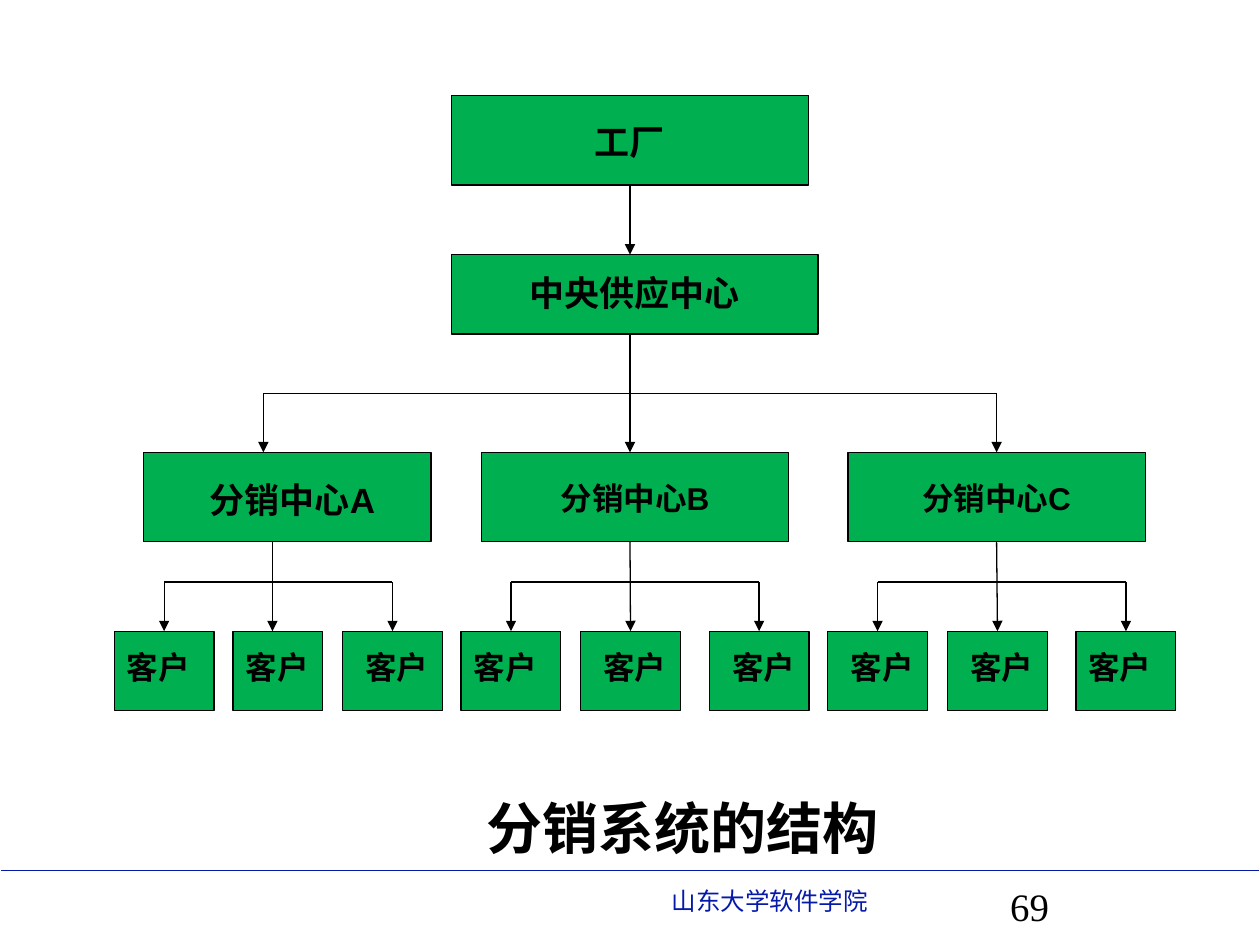
from pptx import Presentation
from pptx.dml.color import RGBColor
from pptx.enum.shapes import MSO_CONNECTOR as Conn, MSO_SHAPE as Shape
from pptx.enum.text import MSO_ANCHOR as Anchor, MSO_AUTO_SIZE as Fit, PP_ALIGN as Align
from pptx.oxml.ns import qn
from pptx.util import Pt
from lxml.etree import SubElement


def put(frame, text, size, color="000000", bold=True, align=Align.CENTER, face="Arial"):
    """Write one formatted paragraph at the top of a text frame."""
    frame.word_wrap = True
    frame.auto_size = Fit.NONE
    frame.vertical_anchor = Anchor.TOP
    para = frame.paragraphs[0]
    para.text = text
    para.alignment = align
    font = para.font
    font.name, font.size, font.bold = face, Pt(size), bold
    font.color.rgb = RGBColor.from_string(color)
    return para


def link(x1, y1, x2, y2, start=None, end=None, arrow=True, color="000000", width=0.75):
    """Draw a line, joined to boxes whose side middle it meets."""
    line = slide.shapes.add_connector(Conn.STRAIGHT, Pt(x1), Pt(y1), Pt(x2), Pt(y2))
    line.line.color.rgb = RGBColor.from_string(color)
    line.line.width = Pt(width)
    if arrow:
        SubElement(line.line._get_or_add_ln(), qn("a:tailEnd"), type="triangle")
    SubElement(line._element.spPr, qn("a:effectLst"))
    if start and abs(start.left + start.width / 2 - Pt(x1)) < Pt(1):
        line.begin_connect(start, 2)
    if end and abs(end.left + end.width / 2 - Pt(x2)) < Pt(1):
        line.end_connect(end, 0)


prs = Presentation()
prs.slide_width, prs.slide_height = Pt(720), Pt(540)
slide = prs.slides.add_slide(prs.slide_layouts[5])

# Title below the chart
title = slide.shapes.title
title.left, title.top, title.width, title.height = Pt(222), Pt(450), Pt(336), Pt(46)
put(title.text_frame, "分销系统的结构", 32, face="Noto Sans CJK SC")

# Footer
link(0.7, 497.5, 719.3, 497.5, arrow=False, color="061AAA", width=1)
foot = slide.shapes.add_textbox(Pt(376.6), Pt(502.6), Pt(312), Pt(24.5))
put(foot.text_frame, "山东大学软件学院", 14, "061AAA", False, Align.LEFT)
page = slide.shapes.add_textbox(Pt(570.2), Pt(504), Pt(149.8), Pt(36))
para = put(page.text_frame, "69", 22.2, bold=False, align=Align.LEFT, face="Times New Roman")
para.line_spacing = 0.9

# Boxes: text, left, top, width, height, size, left inset, top inset
top, bus, mid, fork, low = 145.5, 224.7, 258.5, 332.6, 360.7
specs = [
    ("工厂", 258, 54.7, 204, 51, 20, 7.2, 14.4),
    ("中央供应中心", 258, top, 209.5, 45.4, 20, 7.2, 9.4),
    ("分销中心A", 82, mid, 164.4, 51, 20, 13, 15),
    ("分销中心B", 275, mid, 175.7, 51, 18, 7.2, 15),
    ("分销中心C", 484.5, mid, 170, 51, 18, 7.2, 15),
]
lefts = [65.3, 133.2, 195.8, 263.5, 331.8, 405.3, 473, 541.5, 614.9]
wide = {2, 4, 5, 6, 7}  # customers with indented text
for i, left in enumerate(lefts):
    specs.append(("客户", left, low, 51 if i == 1 else 57, 45.4, 18,
                  13 if i in wide else 7.2, 9.4))

boxes = []
for text, left, y, w, h, size, pad, drop in specs:
    box = slide.shapes.add_shape(Shape.RECTANGLE, Pt(left), Pt(y), Pt(w), Pt(h))
    box.shadow.inherit = False
    box.fill.solid()
    box.fill.fore_color.rgb = RGBColor.from_string("00B050")
    box.line.color.rgb = RGBColor.from_string("000000")
    box.line.width = Pt(0.75)
    frame = box.text_frame
    frame.margin_left, frame.margin_top = Pt(pad), Pt(drop)
    frame.margin_right = Pt(0 if text == "客户" else 7.2)
    put(frame, text, size, align=Align.LEFT if text == "客户" else Align.CENTER)
    boxes.append(box)
plant, hub, *rest = boxes
depots, clients = rest[:3], rest[3:]

# Plant to hub, hub to depots
link(360, 105.7, 360, top, plant, hub)
link(150.5, bus, 569.5, bus, arrow=False)
for x, y, depot in zip((150.5, 360, 569.5), (bus, top + 45.4, bus), depots):
    link(x, y, x, mid, hub if y < bus else None, depot)

# Each depot to its three customers
stems = [(93.8, 155.7, 224.3), (292, 360, 433.8), (501.5, 569.5, 643.4)]
for i, (depot, xs) in enumerate(zip(depots, stems)):
    link(xs[0], fork, xs[2], fork, arrow=False)
    for j, x in enumerate(xs):
        link(x, mid + 51 if j == 1 else fork, x, low,
             depot if j == 1 else None, clients[3 * i + j])

prs.save("out.pptx")
